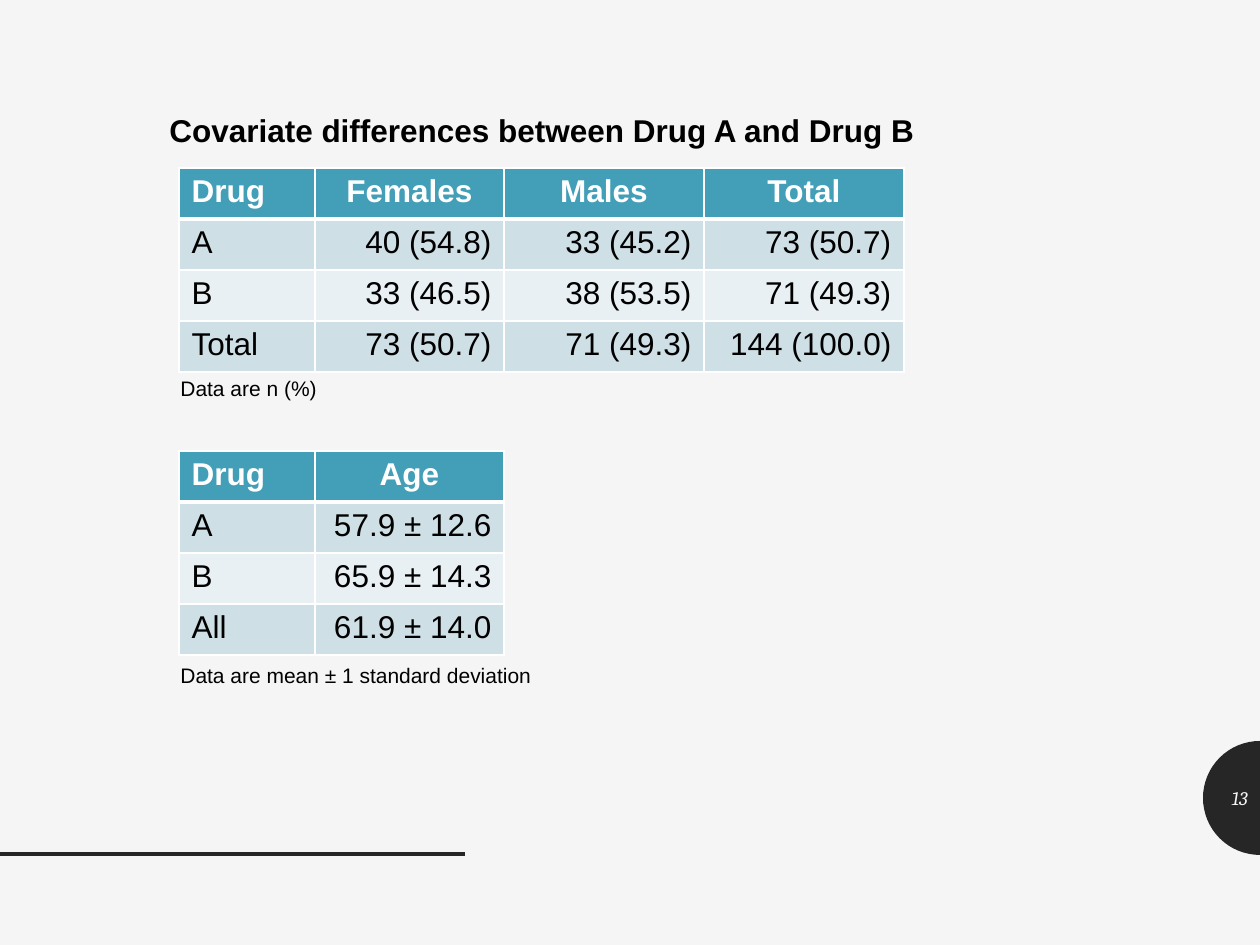
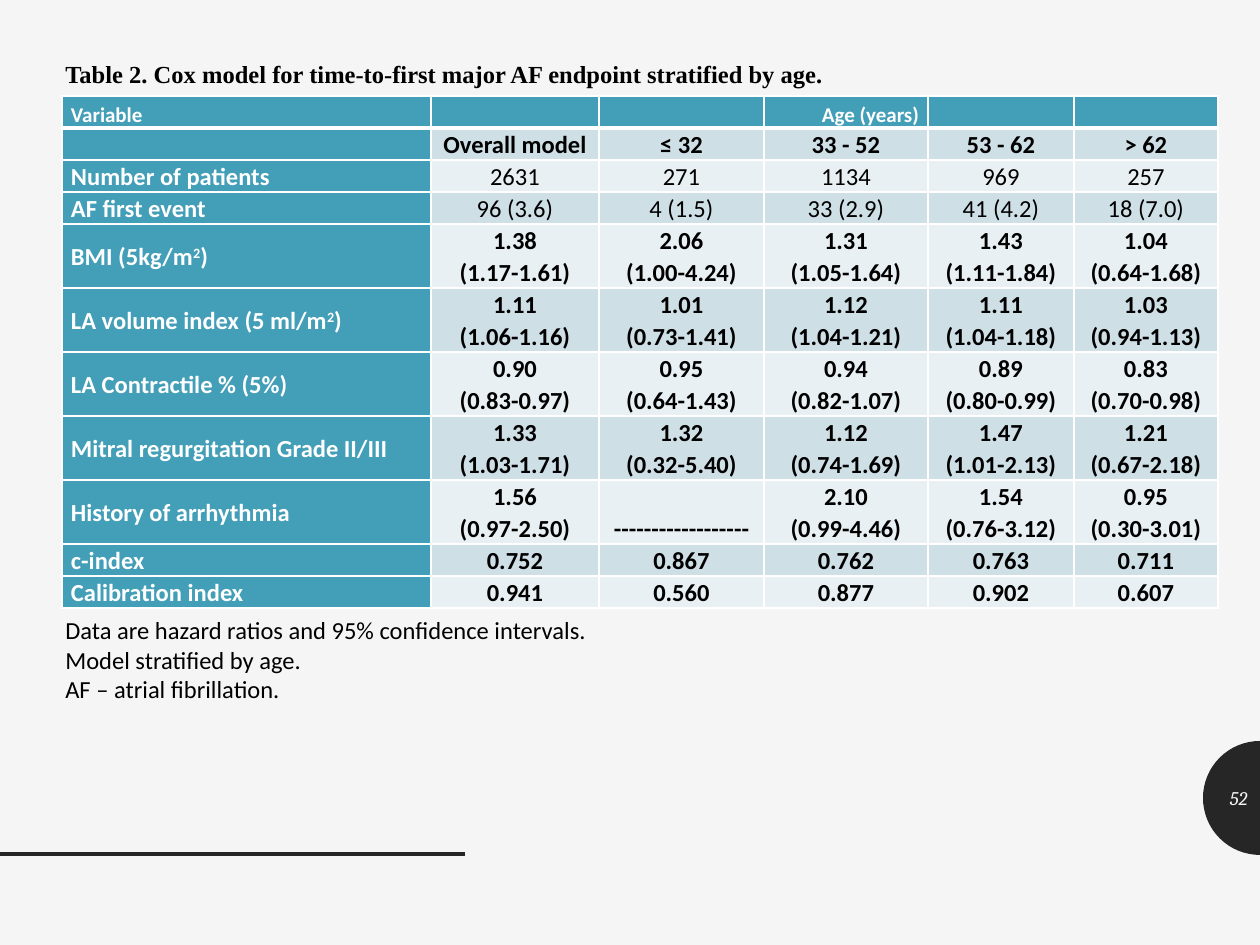
from math import cos, pi, sin

from lxml.etree import SubElement
from pptx import Presentation
from pptx.dml.color import RGBColor
from pptx.enum.shapes import MSO_CONNECTOR as Connector
from pptx.enum.text import MSO_ANCHOR as Anchor, PP_ALIGN as Align
from pptx.oxml.ns import qn
from pptx.util import Pt

EMU_PER_INCH, PX_PER_INCH = 914400, 126
WIDTH, HEIGHT = 1260, 945

PAPER, INK, BLACK, WHITE = "F5F5F5", "262626", "000000", "FFFFFF"
TEAL, BAND_DARK, BAND_LIGHT = "439EB7", "CFDFE6", "E9F0F3"

DRUG_COLUMNS = (136, 189, 200, 200)
SEX_ROWS = [
    ("Drug", "Females", "Males", "Total"),
    ("A", "40 (54.8)", "33 (45.2)", "73 (50.7)"),
    ("B", "33 (46.5)", "38 (53.5)", "71 (49.3)"),
    ("Total", "73 (50.7)", "71 (49.3)", "144 (100.0)"),
]
AGE_ROWS = [
    ("Drug", "Age"),
    ("A", "57.9 ± 12.6"),
    ("B", "65.9 ± 14.3"),
    ("All", "61.9 ± 14.0"),
]

COX_COLUMNS = (369, 168, 165, 164, 146, 144)
COX_ROWS = [
    ("Variable", "", "", "Age (years)", "", ""),
    ("", "Overall model", "≤ 32", "33 - 52", "53 - 62", "> 62"),
    ("Number of patients", "2631", "271", "1134", "969", "257"),
    ("AF first event", "96 (3.6)", "4 (1.5)", "33 (2.9)", "41 (4.2)", "18 (7.0)"),
    ("BMI (5kg/m²)", "1.38\n(1.17-1.61)", "2.06\n(1.00-4.24)",
     "1.31\n(1.05-1.64)", "1.43\n(1.11-1.84)", "1.04\n(0.64-1.68)"),
    ("LA volume index (5 ml/m²)", "1.11\n(1.06-1.16)", "1.01\n(0.73-1.41)",
     "1.12\n(1.04-1.21)", "1.11\n(1.04-1.18)", "1.03\n(0.94-1.13)"),
    ("LA Contractile % (5%)", "0.90\n(0.83-0.97)", "0.95\n(0.64-1.43)",
     "0.94\n(0.82-1.07)", "0.89\n(0.80-0.99)", "0.83\n(0.70-0.98)"),
    ("Mitral regurgitation Grade II/III", "1.33\n(1.03-1.71)", "1.32\n(0.32-5.40)",
     "1.12\n(0.74-1.69)", "1.47\n(1.01-2.13)", "1.21\n(0.67-2.18)"),
    ("History of arrhythmia", "1.56\n(0.97-2.50)", "------------------",
     "2.10\n(0.99-4.46)", "1.54\n(0.76-3.12)", "0.95\n(0.30-3.01)"),
    ("c-index", "0.752", "0.867", "0.762", "0.763", "0.711"),
    ("Calibration index", "0.941", "0.560", "0.877", "0.902", "0.607"),
]
COUNT_ROWS = (2, 3)


def px(length):
    return round(length * EMU_PER_INCH / PX_PER_INCH)


def color(hex_string):
    return RGBColor.from_string(hex_string)


def style(paragraph, font_name, size, hex_string, bold=False, italic=False, align=Align.LEFT):
    paragraph.alignment = align
    font = paragraph.font
    font.name, font.size, font.bold, font.italic = font_name, Pt(size), bold, italic
    font.color.rgb = color(hex_string)


def add_text(slide, box, lines, font_name, size, hex_string=BLACK, anchor=Anchor.TOP, **look):
    frame = slide.shapes.add_textbox(*map(px, box)).text_frame
    frame.word_wrap = True
    frame.vertical_anchor = anchor
    for index, line in enumerate(lines):
        paragraph = frame.add_paragraph() if index else frame.paragraphs[0]
        paragraph.text = line
        style(paragraph, font_name, size, hex_string, **look)


def add_slide(presentation, number):
    """Blank slide with the shared background, half disc, number and rule."""
    slide = presentation.slides.add_slide(presentation.slide_layouts[6])
    slide.background.fill.solid()
    slide.background.fill.fore_color.rgb = color(PAPER)

    # Half disc on the right edge
    radius, center_y, steps = 57, 798, 32
    angles = [pi / 2 + pi * step / steps for step in range(steps + 1)]
    points = [(px(WIDTH + radius * cos(a)), px(center_y - radius * sin(a))) for a in angles]
    builder = slide.shapes.build_freeform(*points[0], scale=1.0)
    builder.add_line_segments(points[1:], close=True)
    disc = builder.convert_to_shape()
    disc.shadow.inherit = False
    disc.fill.solid()
    disc.fill.fore_color.rgb = color(INK)
    disc.line.fill.background()

    # Rule at the bottom left
    rule = slide.shapes.add_connector(Connector.STRAIGHT, 0, px(854), px(465), px(854))
    rule.line.color.rgb = color(INK)
    rule.line.width = Pt(2)
    SubElement(rule._element.spPr, qn("a:effectLst"))

    # Slide number
    add_text(slide, (WIDTH - radius, 773, radius, 50), [str(number)], "Cambria", 11, PAPER,
             anchor=Anchor.MIDDLE, italic=True, align=Align.RIGHT)
    return slide


def paint_cell(cell, row, fill):
    """White borders, thick under the header row, then the fill."""
    properties = cell._tc.get_or_add_tcPr()
    thick_side = {0: "lnB", 1: "lnT"}.get(row)
    for side in ("lnL", "lnR", "lnT", "lnB"):
        width = 3 if side == thick_side else 1
        line = SubElement(properties, qn(f"a:{side}"), w=str(Pt(width)))
        solid = SubElement(line, qn("a:solidFill"))
        SubElement(solid, qn("a:srgbClr"), val=WHITE)
    cell.fill.solid()
    cell.fill.fore_color.rgb = color(fill)


def add_table(slide, left, top, columns, row_heights, rows, fill_text, label_column=False):
    """Banded table; fill_text writes one cell from (cell, text, row, column)."""
    box = map(px, (left, top, sum(columns), sum(row_heights)))
    table = slide.shapes.add_table(len(rows), len(columns), *box).table
    table.horz_banding = False
    for column, width in zip(table.columns, columns):
        column.width = px(width)
    for row, (height, texts) in enumerate(zip(row_heights, rows)):
        table.rows[row].height = px(height)
        for column, text in enumerate(texts):
            cell = table.cell(row, column)
            is_header = row == 0 or (label_column and column == 0)
            paint_cell(cell, row, TEAL if is_header else BAND_DARK if row % 2 else BAND_LIGHT)
            fill_text(cell, text, row, column)


def write_drug_cell(cell, text, row, column):
    paragraph = cell.text_frame.paragraphs[0]
    paragraph.text = text
    header = row == 0
    align = Align.LEFT if column == 0 else Align.CENTER if header else Align.RIGHT
    style(paragraph, "Arial", 18, WHITE if header else BLACK, bold=header, align=align)


def write_cox_cell(cell, text, row, column):
    cell.margin_left = cell.margin_right = px(9)
    cell.margin_top = cell.margin_bottom = 0
    cell.vertical_anchor = Anchor.BOTTOM if column or "²" not in text and row < 4 else Anchor.MIDDLE
    paragraph = cell.text_frame.paragraphs[0]
    paragraph.line_spacing = 1.07
    size = 14 if row else 12
    before, square, after = text.partition("²")
    paragraph.text = before
    if square:
        exponent = paragraph.add_run()
        exponent.text = "2"
        exponent._r.get_or_add_rPr().set("baseline", "30000")
        paragraph.add_run().text = after
    header = row == 0 or column == 0
    align = Align.LEFT if column == 0 else Align.CENTER if row else Align.RIGHT
    style(paragraph, "Calibri", size, WHITE if header else BLACK,
          bold=header or row not in COUNT_ROWS, align=align)
    if not text:
        # Keeps empty cells from stretching their row
        SubElement(paragraph._p, qn("a:endParaRPr"), sz=str(size * 100))


def build_covariates(presentation):
    slide = add_slide(presentation, 13)
    add_text(slide, (157, 105, 809, 50), ["Covariate differences between Drug A and Drug B"],
             "Arial", 18, bold=True)
    blocks = [
        (168, SEX_ROWS, 369, "Data are n (%)"),
        (451, AGE_ROWS, 656, "Data are mean ± 1 standard deviation"),
    ]
    for top, rows, note_top, note in blocks:
        columns = DRUG_COLUMNS[:len(rows[0])]
        add_table(slide, 179, top, columns, [51] * len(rows), rows, write_drug_cell)
        add_text(slide, (168, note_top, 798, 38), [note], "Arial", 12)


def build_cox_model(presentation):
    slide = add_slide(presentation, 52)
    row_heights = [64 if "\n" in row[1] else 32 for row in COX_ROWS]
    add_table(slide, 62, 96, COX_COLUMNS, row_heights, COX_ROWS, write_cox_cell,
              label_column=True)
    add_text(slide, (53, 53, 850, 40),
             ["Table 2. Cox model for time-to-first major AF endpoint stratified by age."],
             "Times New Roman", 14, bold=True)
    add_text(slide, (53, 609, 557, 140),
             ["Data are hazard ratios and 95% confidence intervals.",
              "Model stratified by age.",
              "AF – atrial fibrillation."], "Calibri", 14)


def main():
    presentation = Presentation()
    presentation.slide_width, presentation.slide_height = px(WIDTH), px(HEIGHT)
    build_covariates(presentation)
    build_cox_model(presentation)
    presentation.save("out.pptx")


if __name__ == "__main__":
    main()
